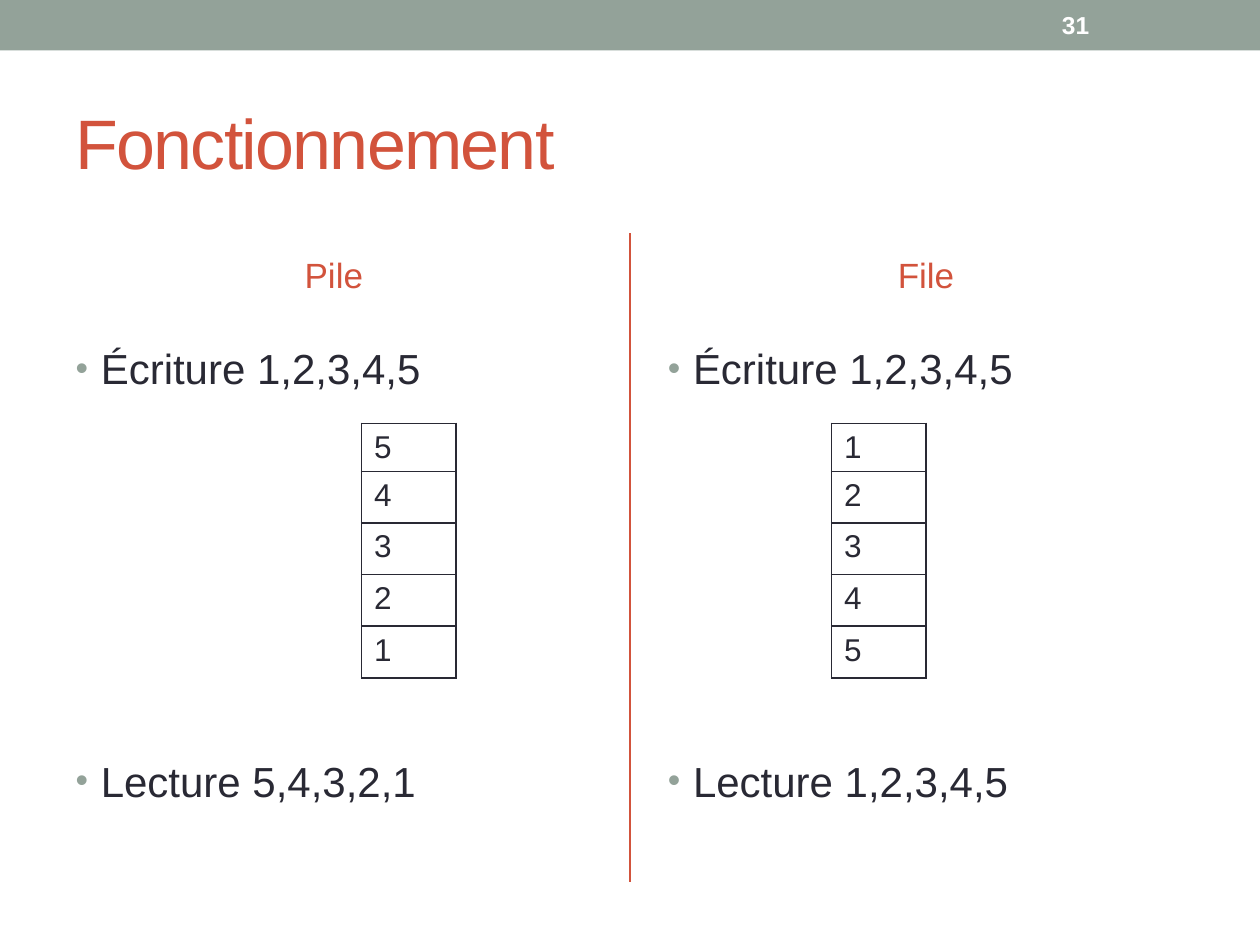
from pptx import Presentation
from pptx import util as u
from pptx.dml.color import RGBColor
from pptx.enum import shapes, text
from pptx.oxml import parse_xml
from pptx.oxml.ns import nsdecls
from pptx.oxml.xmlchemy import OxmlElement

RED = RGBColor(0xD2, 0x53, 0x3C)
SAGE = RGBColor(0x93, 0xA2, 0x99)
INK = RGBColor(0x29, 0x29, 0x34)
WHITE = RGBColor(0xFF, 0xFF, 0xFF)
LEFT, TOP_ALIGN = text.PP_ALIGN.LEFT, text.MSO_ANCHOR.TOP
CENTER, MIDDLE = text.PP_ALIGN.CENTER, text.MSO_ANCHOR.MIDDLE


class SlideBuilder:
    font = "Arial"

    def __init__(self, slide):
        self.slide = slide

    def place(self, shape, box):
        shape.left, shape.top, shape.width, shape.height = map(u.Inches, box)

    def style(self, paragraph, size, color, bold=False, align=LEFT):
        paragraph.alignment = align
        for run in paragraph.runs:
            run.font.name = self.font
            run.font.size = u.Pt(size)
            run.font.color.rgb = color
            run.font.bold = bold

    def set_text(self, shape, content, size, color, bold=False, align=LEFT, anchor=MIDDLE):
        frame = shape.text_frame
        frame.text = content
        frame.word_wrap = True
        frame.auto_size = text.MSO_AUTO_SIZE.NONE
        frame.vertical_anchor = anchor
        for paragraph in frame.paragraphs:
            self.style(paragraph, size, color, bold, align)
        return frame

    def title(self, content, box):
        shape = self.slide.shapes.title
        self.place(shape, box)
        frame = self.set_text(shape, content, 40, RED)
        frame.paragraphs[0].runs[0].font._element.set("spc", "-100")

    def heading(self, index, content, box):
        shape = self.slide.placeholders[index]
        self.place(shape, box)
        self.set_text(shape, content, 20, RED, align=CENTER)

    def bullets(self, index, items, spaces, box):
        shape = self.slide.placeholders[index]
        self.place(shape, box)
        frame = self.set_text(shape, "\n".join(items), 24, INK, anchor=TOP_ALIGN)
        for paragraph, space in zip(frame.paragraphs, spaces):
            paragraph.space_before = u.Pt(space)
            properties = paragraph._p.get_or_add_pPr()
            properties.set("marL", str(u.Inches(0.2)))
            properties.set("indent", str(u.Inches(-0.2)))
            for bullet in (
                f'<a:buClr {nsdecls("a")}><a:srgbClr val="{SAGE}"/></a:buClr>',
                f'<a:buSzPct {nsdecls("a")} val="85000"/>',
                f'<a:buFont {nsdecls("a")} typeface="{self.font}"/>',
                f'<a:buChar {nsdecls("a")} char="•"/>',
            ):
                properties.append(parse_xml(bullet))

    def band(self, box, color):
        shape = self.slide.shapes.add_shape(
            shapes.MSO_SHAPE.RECTANGLE, *map(u.Inches, box))
        shape.shadow.inherit = False
        shape.fill.solid()
        shape.fill.fore_color.rgb = color
        shape.line.fill.background()

    def label(self, content, box):
        shape = self.slide.shapes.add_textbox(*map(u.Inches, box))
        self.set_text(shape, content, 14, WHITE, bold=True)

    def line(self, start, end):
        connector = self.slide.shapes.add_connector(
            shapes.MSO_CONNECTOR.STRAIGHT, *map(u.Inches, start + end))
        connector.line.color.rgb = RED
        connector.line.width = u.Pt(1.5)
        connector._element.spPr.append(OxmlElement("a:effectLst"))

    def borders(self, cell):
        properties = cell._tc.get_or_add_tcPr()
        for side in ("lnL", "lnR", "lnT", "lnB"):
            properties.append(parse_xml(
                f'<a:{side} {nsdecls("a")} w="{u.Pt(1)}"><a:solidFill>'
                f'<a:srgbClr val="{INK}"/></a:solidFill></a:{side}>'))

    def column(self, values, left, top, width, heights):
        box = map(u.Inches, (left, top, width, sum(heights)))
        table = self.slide.shapes.add_table(len(values), 1, *box).table
        table.first_row = table.horz_banding = False
        for row, value, height in zip(table.rows, values, heights):
            row.height = u.Inches(height)
            cell = row.cells[0]
            cell.text_frame.text = str(value)
            self.style(cell.text_frame.paragraphs[0], 18, INK)
            self.borders(cell)
            cell.fill.background()


def main():
    presentation = Presentation()
    presentation.slide_width, presentation.slide_height = u.Inches(10), u.Inches(7.5)
    slide = presentation.slides.add_slide(presentation.slide_layouts[4])
    builder = SlideBuilder(slide)

    builder.band((0, 0, 10, 0.4), SAGE)
    builder.line((5, 1.85), (5, 7))
    builder.title("Fonctionnement", (0.5, 0.58, 9, 1.08))
    builder.label("31", (8.33, 0.02, 1.17, 0.36))

    written = [1, 2, 3, 4, 5]
    columns = [
        ("Pile", written[::-1], 1, 0.5, 2.87),
        ("File", written, 3, 5.2, 6.6),
    ]
    for name, read, index, left, table_left in columns:
        items = [f"{action} {','.join(map(str, values))}"
                 for action, values in (("Écriture", written), ("Lecture", read))]
        builder.heading(index, name, (left, 1.83, 4.3, 0.7))
        builder.bullets(index + 1, items, (5, 207), (left, 2.67, 4.3, 4.32))
        builder.column(read, table_left, 3.36, 0.75, [0.38] + [0.41] * 4)

    presentation.save("out.pptx")


if __name__ == "__main__":
    main()
